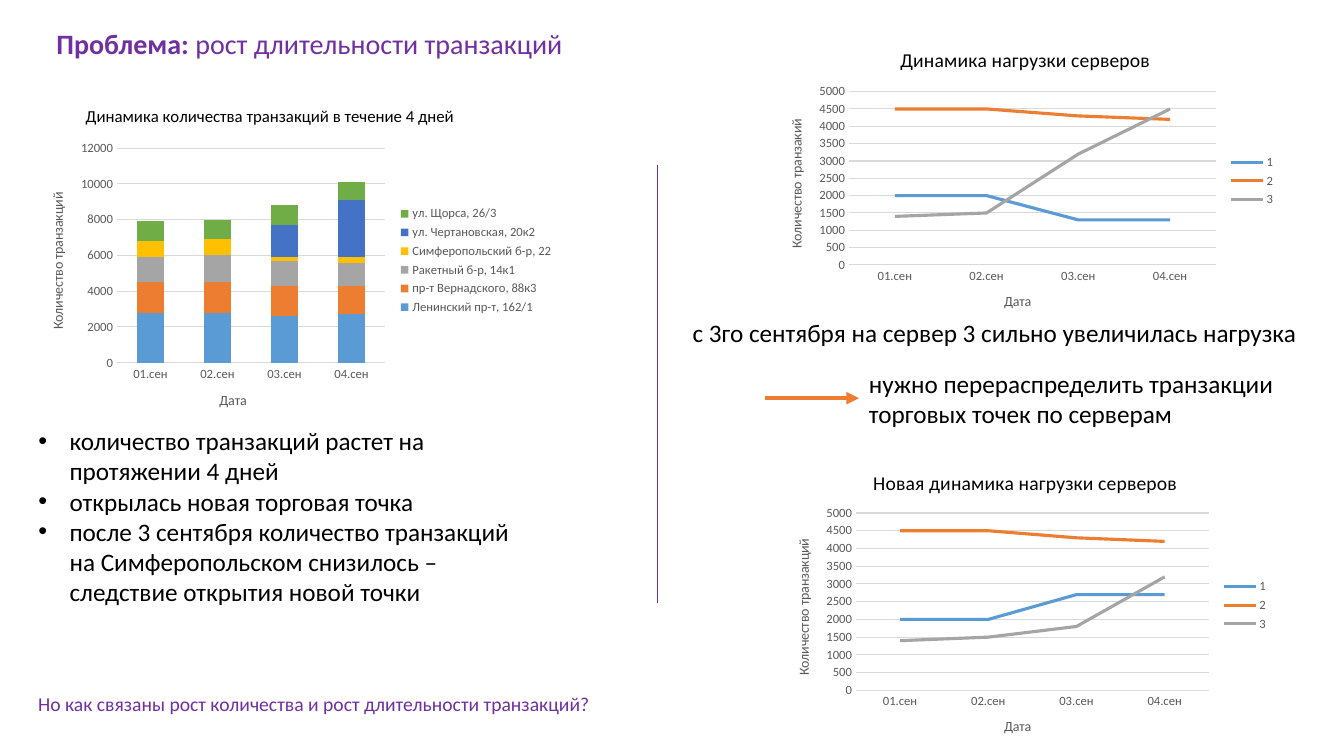
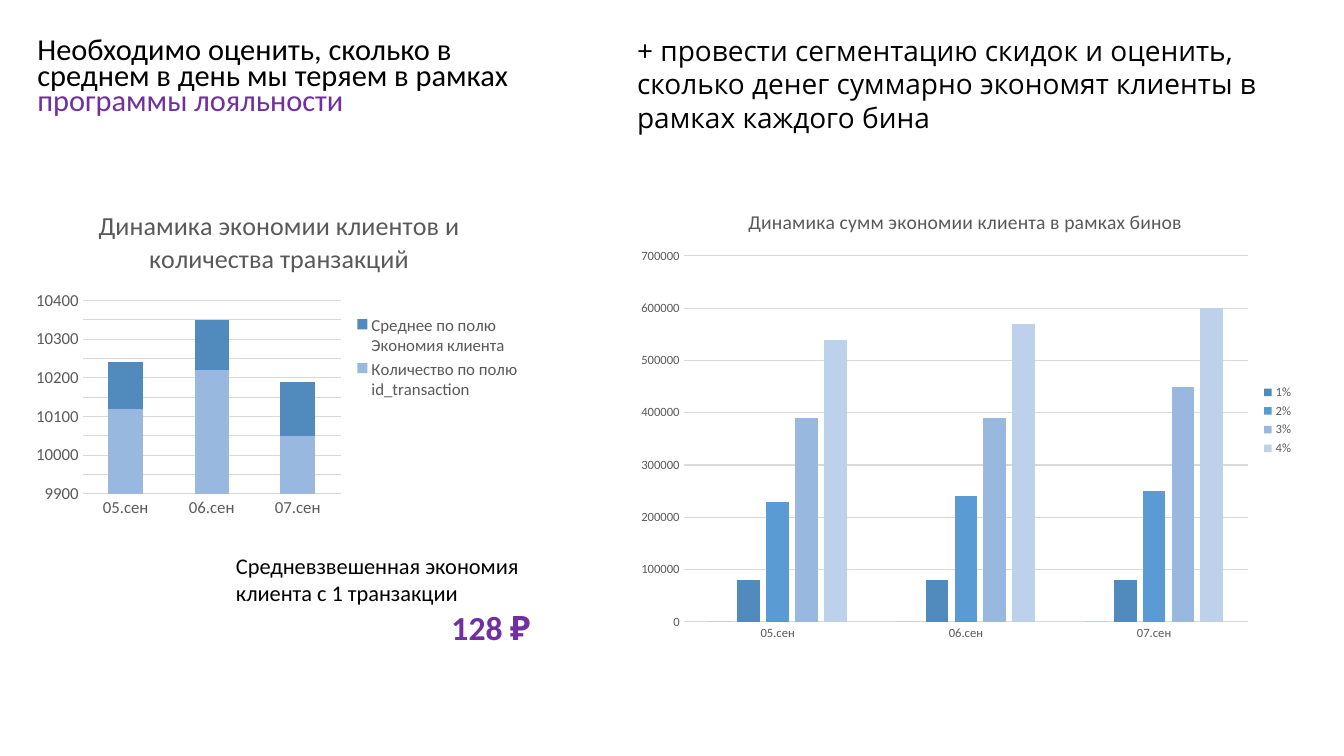
from lxml import etree
from pptx import Presentation
from pptx.chart.data import CategoryChartData
from pptx.dml.color import RGBColor
from pptx.enum.chart import XL_CHART_TYPE, XL_LEGEND_POSITION, XL_TICK_MARK
from pptx.enum.shapes import MSO_CONNECTOR
from pptx.enum.text import MSO_ANCHOR, MSO_AUTO_SIZE, PP_ALIGN
from pptx.oxml.ns import qn
from pptx.util import Inches, Pt

STACKED = XL_CHART_TYPE.COLUMN_STACKED
CLUSTERED = XL_CHART_TYPE.COLUMN_CLUSTERED
LINES = XL_CHART_TYPE.LINE
LEGEND_RIGHT = XL_LEGEND_POSITION.RIGHT
NO_TICK = XL_TICK_MARK.NONE
STRAIGHT = MSO_CONNECTOR.STRAIGHT
TOP, BOTTOM = MSO_ANCHOR.TOP, MSO_ANCHOR.BOTTOM
FIXED, GROW = MSO_AUTO_SIZE.NONE, MSO_AUTO_SIZE.SHAPE_TO_FIT_TEXT
LEFT, RIGHT = PP_ALIGN.LEFT, PP_ALIGN.RIGHT
LEFT_SIDE = 1

COLORS = {
    "text": "000000", "accent": "7030A0", "label": "595959", "grid": "D9D9D9",
    "blue": "5B9BD5", "orange": "ED7D31", "gray": "A5A5A5", "yellow": "FFC000",
    "indigo": "4472C4", "green": "70AD47", "navy": "4576A2", "steel": "518ABD",
    "sky": "98B8E0", "pale": "BED1EA",
}
TITLE_LAYOUT_WITH_LIST, TITLE_LAYOUT = 1, 5


def rgb(name):
    return RGBColor.from_string(COLORS[name])


def add_text(frame, text, size=18, color="text", font="Calibri", bold=False,
             align=LEFT, spacing=None, bullet=False):
    """text: a string, or a list of paragraphs; a paragraph is a string or (text, format) runs."""
    paragraphs = [text] if isinstance(text, str) else text
    for number, content in enumerate(paragraphs):
        paragraph = frame.add_paragraph() if number else frame.paragraphs[0]
        if bullet:
            properties = paragraph._p.get_or_add_pPr()
            properties.set("marL", str(Inches(0.31)))
            properties.set("indent", str(Inches(-0.31)))
            etree.SubElement(properties, qn("a:buFont"), typeface="Arial")
            etree.SubElement(properties, qn("a:buChar"), char="•")
        paragraph.alignment = align
        paragraph.space_before = Pt(0)
        if spacing:
            paragraph.line_spacing = spacing
        runs = [(content, {})] if isinstance(content, str) else content
        for words, changes in runs:
            run = paragraph.add_run()
            run.text = words
            run.font.name = font
            run.font.size = Pt(size)
            run.font.bold = changes.get("bold", bold)
            run.font.color.rgb = rgb(changes.get("color", color))


def set_font(font, size, color):
    font.name = "Calibri"
    font.size = Pt(size)
    font.bold = False
    font.color.rgb = rgb(color)


def set_layout(parent, index, fractions, inner=False):
    layout = parent.find(qn("c:layout"))
    if layout is None:
        layout = etree.Element(qn("c:layout"))
        parent.insert(index, layout)
    manual = etree.SubElement(layout, qn("c:manualLayout"))
    if inner:
        etree.SubElement(manual, qn("c:layoutTarget"), val="inner")
    for mode in ("xMode", "yMode"):
        etree.SubElement(manual, qn("c:" + mode), val="edge")
    for key, value in zip("xywh", fractions):
        etree.SubElement(manual, qn("c:" + key), val=f"{value:.4f}")


class Deck:
    def __init__(self):
        self.presentation = Presentation()
        self.presentation.slide_width = Inches(13.33)
        self.presentation.slide_height = Inches(7.5)
        self.slide = None

    def new_slide(self, layout):
        self.slide = self.presentation.slides.add_slide(
            self.presentation.slide_layouts[layout])

    def placeholder(self, index, box, text, **style):
        holder = self.slide.placeholders[index]
        holder.left, holder.top, holder.width, holder.height = map(Inches, box)
        frame = holder.text_frame
        frame.word_wrap = True
        frame.auto_size = FIXED
        frame.vertical_anchor = TOP
        add_text(frame, text, **style)

    def text_box(self, box, text, **style):
        note = self.slide.shapes.add_textbox(*map(Inches, box))
        note.text_frame.word_wrap = True
        note.text_frame.auto_size = GROW
        add_text(note.text_frame, text, **style)
        return note

    def line(self, start, end, color, width, target=None):
        connector = self.slide.shapes.add_connector(
            STRAIGHT, *map(Inches, start + end))
        if target is not None:
            connector.end_connect(target, LEFT_SIDE)
        connector.line.color.rgb = rgb(color)
        connector.line.width = Pt(width)
        properties = connector._element.spPr
        if target is not None:
            etree.SubElement(properties.find(qn("a:ln")), qn("a:tailEnd"), type="triangle")
        etree.SubElement(properties, qn("a:effectLst"))

    def table(self, box, rows, heights):
        grid = self.slide.shapes.add_table(len(rows), 1, *map(Inches, box)).table
        grid.first_row = grid.horz_banding = False
        for row, height, (text, style) in zip(grid.rows, heights, rows):
            row.height = Inches(height)
            cell = row.cells[0]
            cell.fill.background()
            cell.vertical_anchor = BOTTOM
            cell.margin_left = cell.margin_right = cell.margin_top = Inches(0.01)
            cell.margin_bottom = 0
            add_text(cell.text_frame, text, **style)

    def axis(self, axis, size, title):
        axis.major_tick_mark = axis.minor_tick_mark = NO_TICK
        set_font(axis.tick_labels.font, size, "label")
        axis.has_title = title is not None
        if title:
            add_text(axis.axis_title.text_frame, title, size=10, color="label", align=None)

    def chart(self, kind, box, plot_box, title, categories, series, scale,
              title_size=14, title_color="text", title_at=None, label_size=9,
              axis_titles=(None, None), gap=150, overlap=100, unlisted=()):
        data = CategoryChartData()
        data.categories = categories
        for name, values, _ in series:
            data.add_series(name, values)
        chart = self.slide.shapes.add_chart(kind, *map(Inches, box), data).chart
        set_font(chart.font, 10, "text")

        left, top, width, height = box

        def fractions(place):
            x, y, *size = place
            return [(x - left) / width, (y - top) / height,
                    *(part / whole for part, whole in zip(size, (width, height)))]

        chart.has_title = True
        add_text(chart.chart_title.text_frame, title, size=title_size,
                 color=title_color, align=None)
        if title_at:
            set_layout(chart.chart_title._element, 1, fractions(title_at))
        set_layout(chart._chartSpace.find(".//" + qn("c:plotArea")), 0,
                   fractions(plot_box), inner=True)

        self.axis(chart.category_axis, label_size, axis_titles[0])
        chart.category_axis.format.line.color.rgb = rgb("grid")
        chart.category_axis.format.line.width = Pt(0.75)
        amounts = chart.value_axis
        self.axis(amounts, label_size, axis_titles[1])
        amounts.minimum_scale, amounts.maximum_scale, amounts.major_unit = scale
        amounts.format.line.fill.background()
        amounts.has_major_gridlines = True
        amounts.major_gridlines.format.line.color.rgb = rgb("grid")
        amounts.major_gridlines.format.line.width = Pt(0.75)

        chart.has_legend = True
        chart.legend.position = LEGEND_RIGHT
        chart.legend.include_in_layout = False
        set_font(chart.legend.font, label_size, "label")
        for index in unlisted:
            entry = etree.Element(qn("c:legendEntry"))
            etree.SubElement(entry, qn("c:idx"), val=str(index))
            etree.SubElement(entry, qn("c:delete"), val="1")
            chart.legend._element.insert(1, entry)

        plot = chart.plots[0]
        plot.vary_by_categories = False
        if kind != LINES:
            plot.gap_width, plot.overlap = gap, overlap
        for drawn, (_, _, color) in zip(plot.series, series):
            if kind == LINES:
                drawn.smooth = False
                drawn.format.line.color.rgb = rgb(color)
                drawn.format.line.width = Pt(2.25)
            else:
                drawn.format.fill.solid()
                drawn.format.fill.fore_color.rgb = rgb(color)


def problem_slide(deck):
    days = ["01.сен", "02.сен", "03.сен", "04.сен"]
    deck.new_slide(TITLE_LAYOUT_WITH_LIST)
    deck.placeholder(0, (0.46, 0.21, 5.28, 0.44), [
        [("Проблема: ", {"bold": True}), ("рост длительности транзакций", {})],
    ], size=20, color="accent")
    deck.chart(
        STACKED, (0.28, 0.91, 5.31, 3.35), (1.16, 1.47, 2.66, 2.13),
        "Динамика количества транзакций в течение 4 дней", days, [
            ("Ленинский пр-т, 162/1", (2800, 2800, 2600, 2700), "blue"),
            ("пр-т Вернадского, 88к3", (1700, 1700, 1700, 1600), "orange"),
            ("Ракетный б-р, 14к1", (1400, 1500, 1400, 1300), "gray"),
            ("Симферопольский б-р, 22", (900, 900, 200, 300), "yellow"),
            ("ул. Чертановская, 20к2", (None, None, 1800, 3200), "indigo"),
            ("ул. Щорса, 26/3", (1100, 1100, 1100, 1000), "green"),
        ], (0, 12000, 2000), title_size=12, title_at=(0.82, 1.01),
        axis_titles=("Дата", "Количество транзакций"))
    deck.placeholder(1, (0.28, 4.17, 4.91, 1.92), [
        "количество транзакций растет на протяжении 4 дней",
        "открылась новая торговая точка",
        "после 3 сентября количество транзакций на Симферопольском снизилось – "
        "следствие открытия новой точки",
    ], bullet=True)
    deck.text_box((0.28, 6.82, 6.31, 0.34),
                  "Но как связаны рост количества и рост длительности транзакций?",
                  size=14, color="accent")
    deck.line((6.52, 1.64), (6.52, 5.98), "accent", 1)

    server_2 = ("2", (4500, 4500, 4300, 4200), "orange")
    server_charts = [
        ((7.59, 0.31, 5.16, 2.97), (8.42, 0.91, 3.64, 1.72),
         "Динамика нагрузки серверов", "Количество транзакий",
         (2000, 2000, 1300, 1300), (1400, 1500, 3200, 4500)),
        ((7.66, 4.51, 5.02, 2.99), (8.49, 5.09, 3.5, 1.76),
         "Новая динамика нагрузки серверов", "Количество транзакций",
         (2000, 2000, 2700, 2700), (1400, 1500, 1800, 3200)),
    ]
    for box, plot_box, title, amount, server_1, server_3 in server_charts:
        deck.chart(LINES, box, plot_box, title, days,
                   [("1", server_1, "blue"), server_2, ("3", server_3, "gray")],
                   (0, 5000, 500), axis_titles=("Дата", amount))
    deck.text_box((6.77, 3.1, 6.31, 0.4),
                  "с 3го сентября на сервер 3 сильно увеличилась нагрузка")
    solution = deck.text_box((8.52, 3.6, 4.8, 0.7),
                             "нужно перераспределить транзакции торговых точек по серверам")
    deck.line((7.59, 3.95), (8.52, 3.95), "orange", 3, target=solution)


def loyalty_slide(deck):
    days = ["05.сен", "06.сен", "07.сен"]
    deck.new_slide(TITLE_LAYOUT)
    deck.placeholder(0, (0.27, 0.35, 5.45, 0.91), [
        [("Необходимо оценить, сколько в среднем в день мы теряем в рамках ", {}),
         ("программы лояльности", {"color": "accent"})],
    ], size=21.7, spacing=0.7)
    deck.chart(
        STACKED, (0.27, 1.89, 5, 3.32), (0.82, 2.98, 2.56, 1.92),
        "Динамика экономии клиентов и количества транзакций", days, [
            ("Количество по полю id_transaction", (10120, 10220, 10050), "sky"),
            ("Среднее по полю Экономия клиента", (120, 130, 140), "steel"),
        ], (9900, 10400, 50), title_size=18.6, title_color="label", label_size=12)
    deck.table((2.33, 5.25, 2.94, 1.19), [
        ("Средневзвешенная экономия клиента с 1 транзакции", {"size": 16}),
        ("128 ₽", {"size": 24, "color": "accent", "bold": True, "align": RIGHT}),
    ], (0.78, 0.41))
    deck.text_box((6.22, 0.28, 6.95, 1.11),
                  "+ провести сегментацию скидок и оценить, сколько денег суммарно "
                  "экономят клиенты в рамках каждого бина", size=20, font="Open Sans")
    deck.chart(
        CLUSTERED, (6.22, 1.89, 6.71, 4.56), (6.78, 2.54, 5.6, 3.63),
        "Динамика сумм экономии клиента в рамках бинов", days, [
            ("Series 1", (0, 0, 0), "navy"),
            ("1%", (80000, 80000, 80000), "steel"),
            ("2%", (230000, 240000, 250000), "blue"),
            ("3%", (390000, 390000, 450000), "sky"),
            ("4%", (540000, 570000, 600000), "pale"),
        ], (0, 700000, 100000), title_color="label", gap=219, overlap=-27, unlisted=(0,))


def main():
    deck = Deck()
    problem_slide(deck)
    loyalty_slide(deck)
    deck.presentation.save("out.pptx")


if __name__ == "__main__":
    main()
